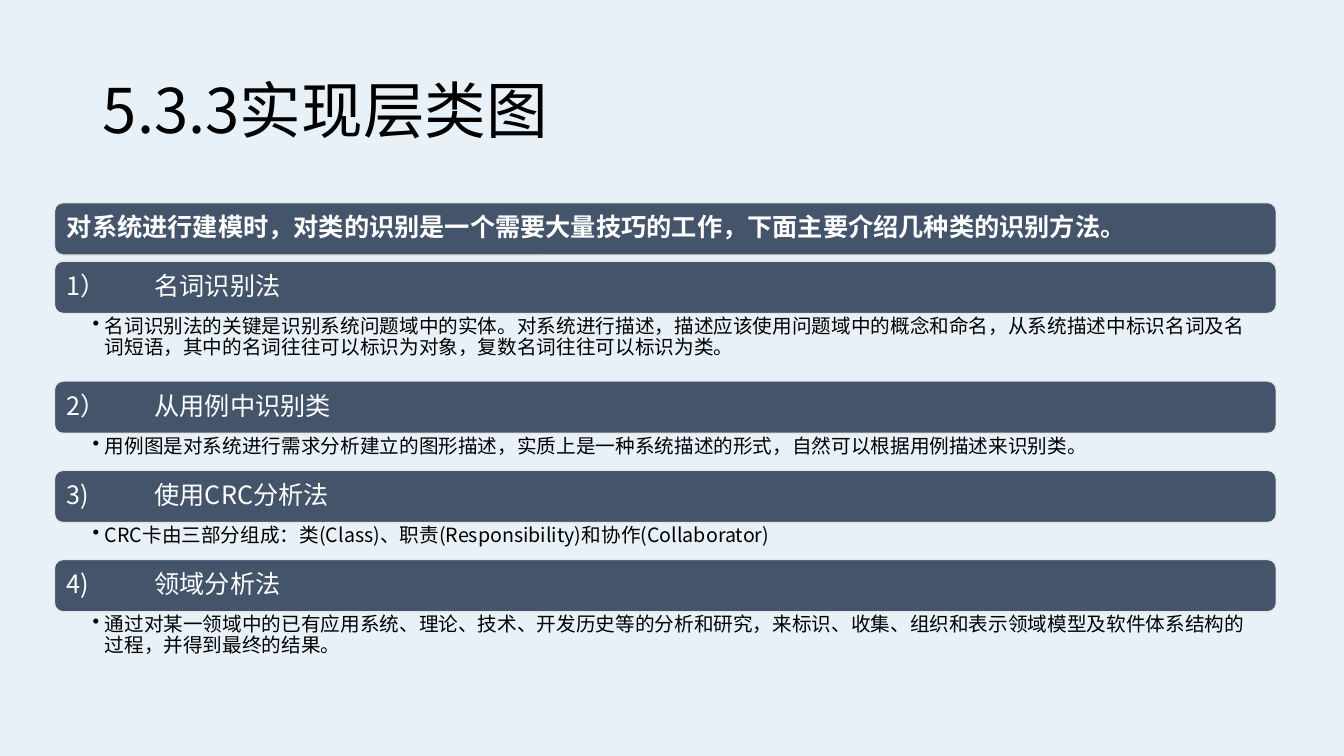
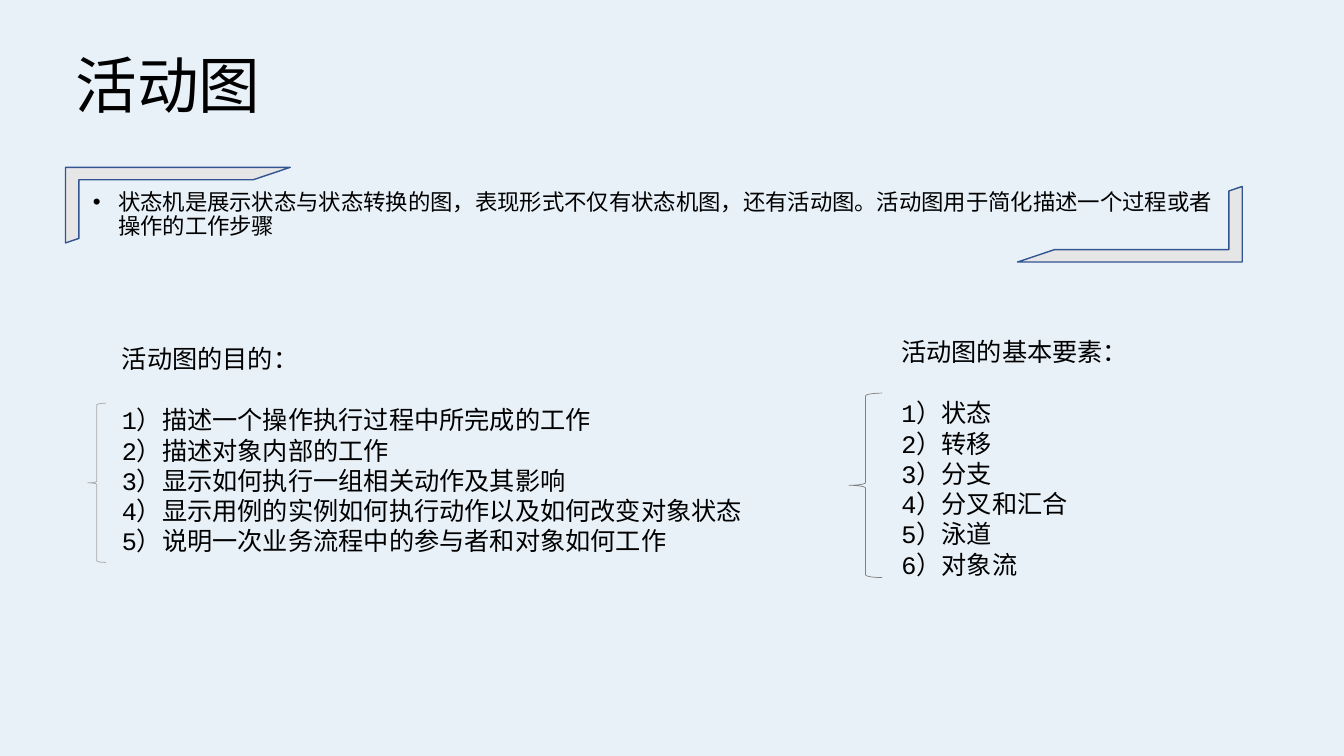
from collections import namedtuple

from lxml.etree import SubElement
from pptx import Presentation
from pptx.dml.color import RGBColor
from pptx.enum.shapes import MSO_SHAPE as Shape
from pptx.enum.text import MSO_ANCHOR as Anchor, MSO_AUTO_SIZE as AutoSize, PP_ALIGN as Align
from pptx.oxml.ns import qn
from pptx.util import Inches, Pt

SLIDE_WIDTH, SLIDE_HEIGHT = 13.33, 7.5
BACKGROUND, BLACK, WHITE = "E9F1F8", "000000", "FFFFFF"
BAR_FILL, PALE, FRAME_LINE = "44546A", "E7E6E6", "325491"
SANS, MONO = "Noto Sans CJK SC", "Courier New"
TITLE_AND_BODY, TITLE_ONLY = 1, 5
BAR_ROW, GAP_ROW, DETAIL_ROWS = 52, 6, {1: 36.5, 2: 67}

Box = namedtuple("Box", "left top width height")
PAGE = Box(0, 0, SLIDE_WIDTH, SLIDE_HEIGHT)


def part(box, left, top, width, height):
    """Return the part of a box given in percent of its size."""
    return Box(box.left + box.width * left / 100, box.top + box.height * top / 100,
               box.width * width / 100, box.height * height / 100)


def emu(box):
    """Convert a box to slide units."""
    return [Inches(length) for length in box]


def color(hex_string):
    """Turn a hex string into a colour."""
    return RGBColor.from_string(hex_string)


def write(shape, *lines, size=18, ink=BLACK, font=SANS, bold=False, anchor=Anchor.TOP,
          margins=(0.1, 0.05, 0.1, 0.05), spacing=1.0, indent=0, tab=0, heading_gap=0):
    """Fill a shape with formatted paragraphs."""
    frame = shape.text_frame
    frame.auto_size = AutoSize.NONE
    frame.word_wrap = True
    frame.vertical_anchor = anchor
    frame.margin_left, frame.margin_top, frame.margin_right, frame.margin_bottom = map(Inches, margins)
    for index, line in enumerate(lines):
        paragraph = frame.paragraphs[0] if index == 0 else frame.add_paragraph()
        properties = paragraph._p.get_or_add_pPr()
        if indent:
            properties.set("marL", str(Inches(indent)))
            properties.set("indent", str(-Inches(indent)))
            SubElement(properties, qn("a:buChar"), char="•")
        if tab:
            stops = SubElement(properties, qn("a:tabLst"))
            SubElement(stops, qn("a:tab"), pos=str(Inches(tab)), algn="l")
        paragraph.alignment = Align.LEFT
        paragraph.line_spacing = spacing
        paragraph.space_before = Pt(heading_gap if index == 1 else 0)
        run = paragraph.add_run()
        run.text = line
        run.font.name, run.font.size, run.font.bold = font, Pt(size), bold
        run.font.color.rgb = color(ink)
        SubElement(run._r.get_or_add_rPr(), qn("a:ea"), typeface=SANS)


def draw(slide, kind, box, line, weight=1, fill=None):
    """Draw a flat preset shape."""
    shape = slide.shapes.add_shape(kind, *emu(box))
    shape.shadow.inherit = False
    shape.line.color.rgb = color(line)
    shape.line.width = Pt(weight)
    if fill:
        shape.fill.solid()
        shape.fill.fore_color.rgb = color(fill)
    else:
        shape.fill.background()
    return shape


def place(placeholder, box):
    """Move a placeholder to a box."""
    placeholder.left, placeholder.top, placeholder.width, placeholder.height = emu(box)
    return placeholder


def add_titled_slide(presentation, layout, title, box):
    """Add a slide with its title in the shared style."""
    slide = presentation.slides.add_slide(presentation.slide_layouts[layout])
    write(place(slide.shapes.title, box), title, size=44, anchor=Anchor.MIDDLE, spacing=0.9)
    return slide


def add_method_stack(slide, box, lead, methods):
    """Stack a lead bar and one bar with its detail per method."""
    rows = [(BAR_ROW, lead, True), (GAP_ROW, None, False)]
    for heading, detail, line_count in methods:
        rows += [(BAR_ROW, heading, False), (DETAIL_ROWS[line_count], detail, False)]
    total = sum(row[0] for row in rows)
    top = 0
    for height, text, bold in rows:
        row_box = part(box, 0, top, 100, height / total * 100)
        top += height / total * 100
        if height == BAR_ROW:
            bar = draw(slide, Shape.ROUNDED_RECTANGLE, row_box, PALE, fill=BAR_FILL)
            write(bar, text, ink=WHITE, bold=bold, anchor=Anchor.MIDDLE, spacing=0.9, tab=0.87)
        elif text:
            detail_box = slide.shapes.add_textbox(*emu(row_box))
            write(detail_box, text, size=14, margins=(0.38, 0.03, 0.14, 0.03),
                  spacing=0.9, indent=0.12)


def add_framed_definition(slide, box, text):
    """Place the body text between two opposite corner frames."""
    body = place(slide.placeholders[1], part(box, 1.46, 20.2, 97.7, 125.5))
    write(body, text, size=16, spacing=0.9, indent=0.25)
    for left, top, rotation in ((0, 0, 0), (80.9, 20.2, 180)):
        corner = draw(slide, Shape.HALF_FRAME, part(box, left, top, 19.1, 79.8), FRAME_LINE, fill=PALE)
        corner.adjustments[0], corner.adjustments[1] = 0.165, 0.177
        corner.rotation = rotation


def add_braced_list(slide, box, lines, brace, line, weight):
    """Write a headed list with a brace on its left."""
    write(slide.shapes.add_textbox(*emu(box)), *lines, font=MONO, heading_gap=22)
    draw(slide, Shape.LEFT_BRACE, part(box, *brace), line, weight)


def build_class_slide(presentation):
    """Build the slide on finding classes."""
    slide = add_titled_slide(presentation, TITLE_ONLY, "5.3.3实现层类图", part(PAGE, 6.9, 5.33, 86.25, 19.33))
    add_method_stack(
        slide, part(PAGE, 4.05, 26.8, 90.92, 63.07),
        "对系统进行建模时，对类的识别是一个需要大量技巧的工作，下面主要介绍几种类的识别方法。",
        [("1）\t名词识别法",
          "名词识别法的关键是识别系统问题域中的实体。对系统进行描述，描述应该使用问题域中的概念和命名，"
          "从系统描述中标识名词及名词短语，其中的名词往往可以标识为对象，复数名词往往可以标识为类。", 2),
         ("2）\t从用例中识别类",
          "用例图是对系统进行需求分析建立的图形描述，实质上是一种系统描述的形式，自然可以根据用例描述来识别类。", 1),
         ("3)\t使用CRC分析法",
          "CRC卡由三部分组成：类(Class)、职责(Responsibility)和协作(Collaborator)", 1),
         ("4)\t领域分析法",
          "通过对某一领域中的已有应用系统、理论、技术、开发历史等的分析和研究，"
          "来标识、收集、组织和表示领域模型及软件体系结构的过程，并得到最终的结果。", 2)])


def build_activity_slide(presentation):
    """Build the slide on activity diagrams."""
    slide = add_titled_slide(presentation, TITLE_AND_BODY, "活动图", part(PAGE, 4.88, 5.07, 16.73, 13.33))
    add_framed_definition(
        slide, part(PAGE, 4.88, 22.13, 87.55, 12.53),
        "状态机是展示状态与状态转换的图，表现形式不仅有状态机图，还有活动图。"
        "活动图用于简化描述一个过程或者操作的工作步骤")
    add_braced_list(
        slide, part(PAGE, 8.33, 44.8, 48.61, 29.6),
        ["活动图的目的：", "1）描述一个操作执行过程中所完成的工作", "2）描述对象内部的工作",
         "3）显示如何执行一组相关动作及其影响", "4）显示用例的实例如何执行动作以及如何改变对象状态",
         "5）说明一次业务流程中的参与者和对象如何工作"],
        (-3.7, 28.83, 2.78, 71.17), "A6A6A6", 0.5)
    add_braced_list(
        slide, part(PAGE, 66.32, 43.87, 23.33, 33.6),
        ["活动图的基本要素：", "1）状态", "2）转移", "3）分支", "4）分叉和汇合", "5）泳道", "6）对象流"],
        (-13.5, 24.21, 10.61, 72.62), "808080", 0.5)


def main():
    """Build and save the presentation."""
    presentation = Presentation()
    presentation.slide_width, presentation.slide_height = Inches(SLIDE_WIDTH), Inches(SLIDE_HEIGHT)
    background = presentation.slide_master.background.fill
    background.solid()
    background.fore_color.rgb = color(BACKGROUND)
    build_class_slide(presentation)
    build_activity_slide(presentation)
    presentation.save("out.pptx")


if __name__ == "__main__":
    main()
